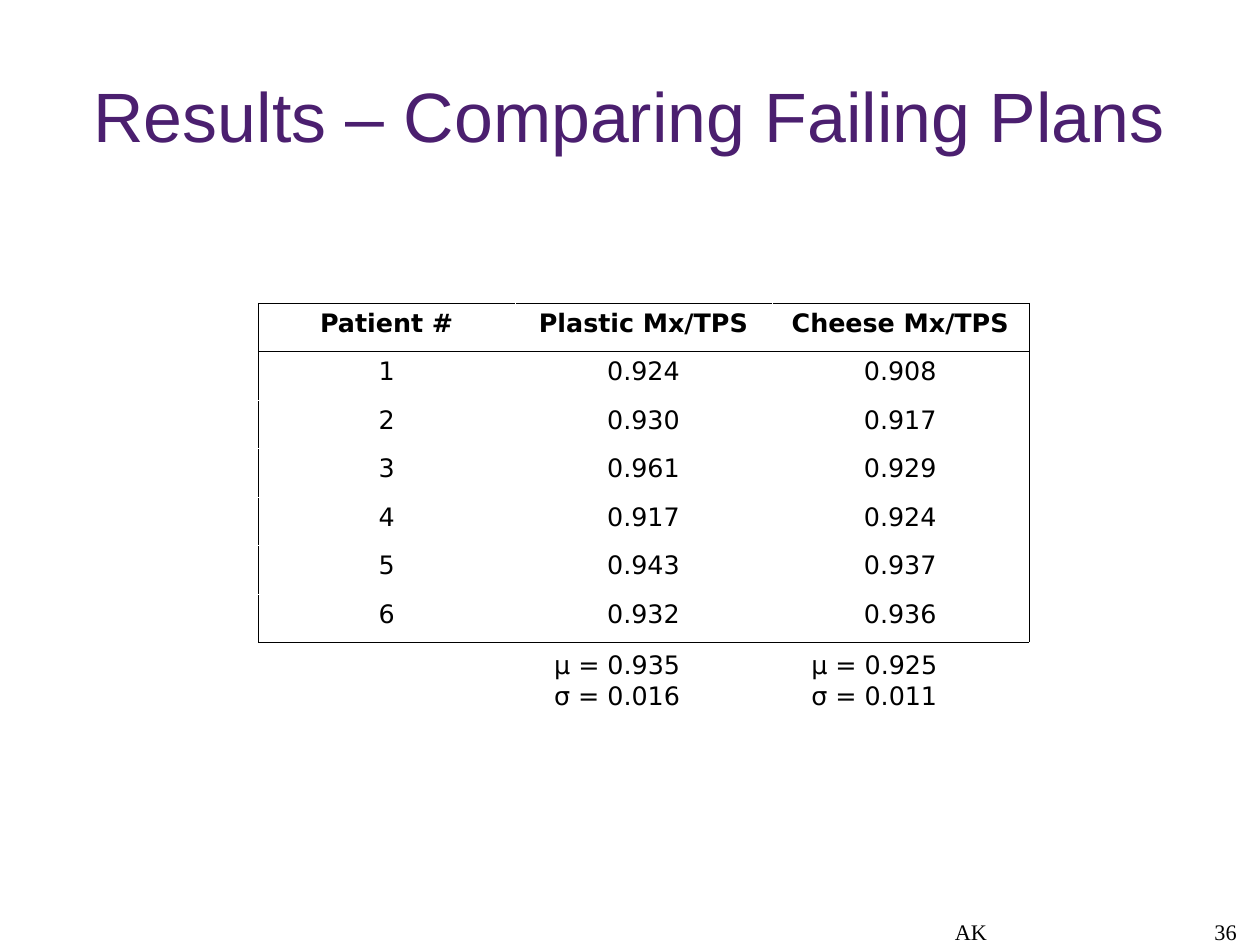
from lxml import etree
from pptx import Presentation, util as u
from pptx.dml.color import RGBColor
from pptx.enum import text
from pptx.oxml.ns import qn

COLORS = {"ink": "000000", "title": "4B1F6F", "paper": "FFFFFF"}
ALIGN = text.PP_ALIGN
ANCHOR = text.MSO_ANCHOR


class SlideBuilder:
    """Holds the table style and the current page, and adds elements to it."""

    font = "DejaVu Sans"
    size = 16
    spacing = 1.01
    border = u.Pt(0.06)

    def __init__(self, page):
        self.page = page

    def style(self, para, align, font=font, size=size, color="ink", spacing=spacing, bold=False):
        para.alignment = align
        para.line_spacing = spacing
        para.font.name = font
        para.font.size = u.Pt(size)
        para.font.bold = bold
        para.font.color.rgb = RGBColor.from_string(COLORS[color])

    def label(self, lines, left, top, width, height, align=ALIGN.LEFT,
              anchor=ANCHOR.TOP, insets=(0.1, 0.05, 0.1, 0.05), **look):
        box = self.page.shapes.add_textbox(*map(u.Inches, (left, top, width, height)))
        frame = box.text_frame
        frame.word_wrap = True
        frame.vertical_anchor = anchor
        (frame.margin_left, frame.margin_top,
         frame.margin_right, frame.margin_bottom) = map(u.Inches, insets)
        frame.text = "\n".join(lines)
        for para in frame.paragraphs:
            self.style(para, align, **look)

    def edge(self, cell, side, color):
        line = etree.SubElement(cell._tc.get_or_add_tcPr(), qn(f"a:ln{side}"), w=str(self.border))
        fill = etree.SubElement(line, qn("a:solidFill"))
        etree.SubElement(fill, qn("a:srgbClr"), val=COLORS[color])

    def table(self, rows, left, top, width, height):
        last_row, last_column = len(rows) - 1, len(rows[0]) - 1
        frame = self.page.shapes.add_table(
            len(rows), len(rows[0]), *map(u.Inches, (left, top, width, height)))
        grid = frame.table
        grid.first_row = grid.horz_banding = False
        for r, row in enumerate(rows):
            for c, value in enumerate(row):
                cell = grid.cell(r, c)
                cell.text = value
                self.style(cell.text_frame.paragraphs[0], ALIGN.CENTER, bold=r == 0)
                dark = {"L": c == 0, "R": c == last_column,
                        "T": r in (0, 1), "B": r in (0, last_row)}
                for side, is_dark in dark.items():
                    self.edge(cell, side, "ink" if is_dark else "paper")
                cell.fill.solid()
                cell.fill.fore_color.rgb = RGBColor.from_string(COLORS["paper"])


def main():
    deck = Presentation()
    deck.slide_width, deck.slide_height = u.Cm(28), u.Cm(21)
    builder = SlideBuilder(deck.slides.add_slide(deck.slide_layouts[6]))

    footer = dict(anchor=ANCHOR.BOTTOM, insets=(0, 0, 0, 0),
                  font="Times New Roman", size=14, spacing=0.95)
    builder.label(["AK"], 6.75, 7.7, 3.49, 0.57, ALIGN.CENTER, **footer)
    builder.label(["36"], 8.25, 7.7, 2.57, 0.57, ALIGN.RIGHT, **footer)
    builder.label(["Results – Comparing Failing Plans"], 0.55, 0.33, 9.92, 1.38,
                  ALIGN.CENTER, ANCHOR.MIDDLE, (0, 0.04, 0, 0),
                  font="Arial", size=44, color="title", spacing=0.93)

    builder.table([
        ("Patient #", "Plastic Mx/TPS", "Cheese Mx/TPS"),
        ("1", "0.924", "0.908"),
        ("2", "0.930", "0.917"),
        ("3", "0.961", "0.929"),
        ("4", "0.917", "0.924"),
        ("5", "0.943", "0.937"),
        ("6", "0.932", "0.936"),
    ], 2.26, 2.65, 6.74, 2.97)

    for left, mean, deviation in ((4.75, "0.935", "0.016"), (7, "0.925", "0.011")):
        builder.label([f"μ = {mean}", f"σ = {deviation}"], left, 5.63, 1.5, 0.64)

    deck.save("out.pptx")


if __name__ == "__main__":
    main()
